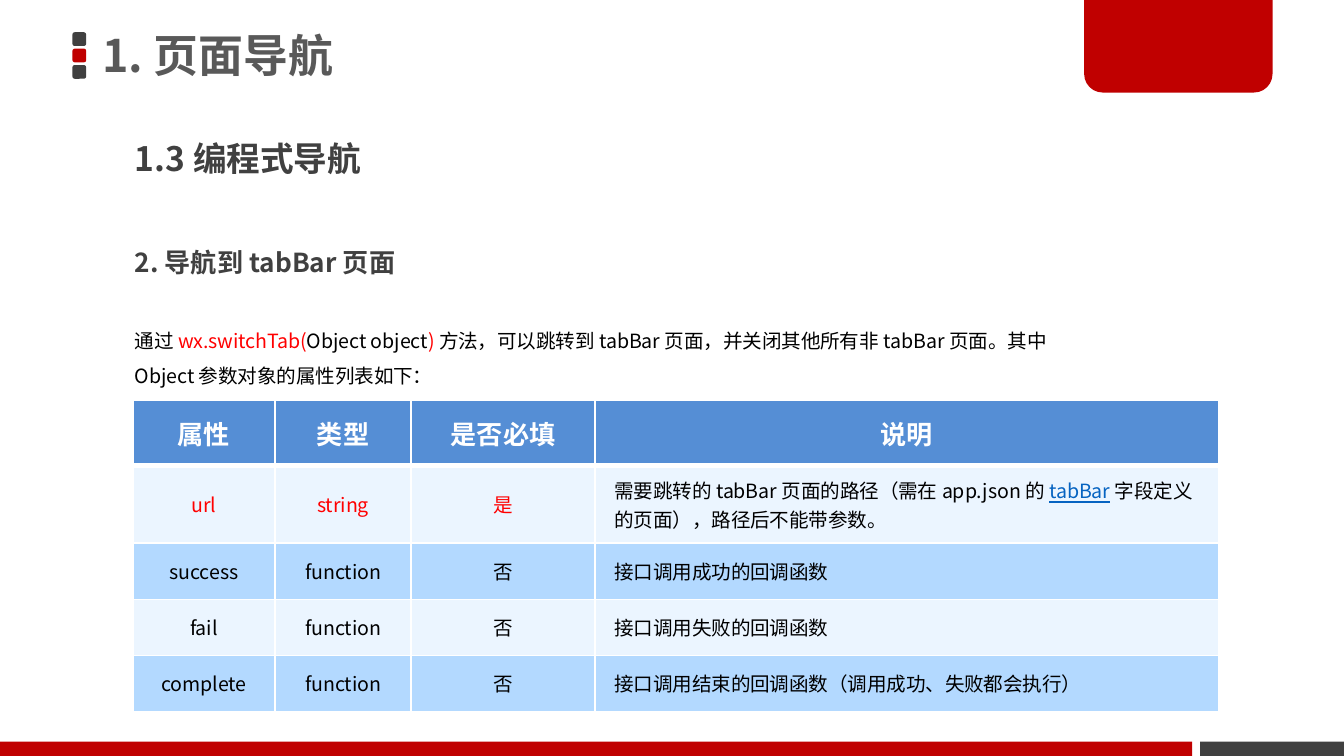
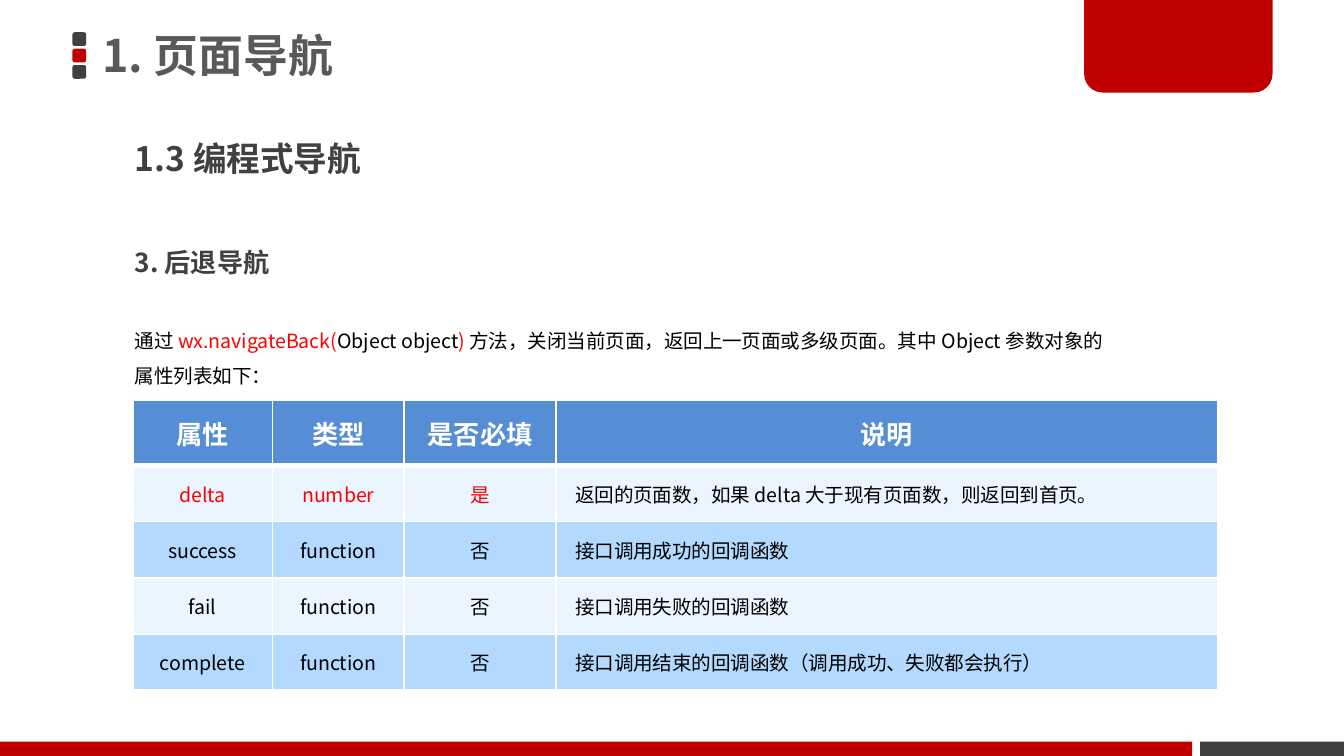
from dataclasses import dataclass
from typing import NamedTuple

from lxml import etree
from pptx import Presentation
from pptx import util as u
from pptx.dml.color import RGBColor
from pptx.enum import shapes, text
from pptx.oxml import ns

FONT = "Noto Sans CJK SC"
WHITE = RGBColor(0xFF, 0xFF, 0xFF)
BLACK = RGBColor(0x00, 0x00, 0x00)
RED = RGBColor(0xFF, 0x00, 0x00)
BRAND_RED = RGBColor(0xC0, 0x00, 0x00)
CHARCOAL = RGBColor(0x40, 0x40, 0x40)
TITLE_GRAY = RGBColor(0x59, 0x59, 0x59)
LINK_BLUE = RGBColor(0x05, 0x63, 0xC1)
HEADER_BLUE = RGBColor(0x55, 0x8E, 0xD5)
ROW_FILLS = (RGBColor(0xEB, 0xF5, 0xFF), RGBColor(0xB3, 0xD9, 0xFF))

HEADER_HEIGHT, ROW_HEIGHT = 1.23, 1.06
HEADINGS = ("属性", "类型", "是否必填", "说明")
CALLBACK_ROWS = (
    ("success", "function", "否", "接口调用成功的回调函数"),
    ("fail", "function", "否", "接口调用失败的回调函数"),
    ("complete", "function", "否", "接口调用结束的回调函数（调用成功、失败都会执行）"),
)


class Box(NamedTuple):
    left: float
    top: float
    width: float
    height: float

    def lengths(self) -> list:
        return [u.Cm(value) for value in self]


class Run(NamedTuple):
    words: str
    color: RGBColor = BLACK
    underline: bool = False


class Band(NamedTuple):
    box: Box
    color: RGBColor
    kind: shapes.MSO_SHAPE = shapes.MSO_SHAPE.RECTANGLE
    adjustments: tuple = ()


@dataclass(frozen=True)
class Lesson:
    topic: str
    method: str
    effect: str
    columns: tuple
    parameter: tuple
    explanation: tuple


BANDS = [
    Band(Box(1.37, 0.61 + 0.31 * index, 0.26, 0.26), color,
         shapes.MSO_SHAPE.ROUNDED_RECTANGLE, (0.17,))
    for index, color in enumerate((CHARCOAL, BRAND_RED, CHARCOAL))
] + [
    Band(Box(22.68, 14.02, 2.72, 0.27), CHARCOAL),
    Band(Box(20.49, 0, 3.56, 1.75), BRAND_RED,
         shapes.MSO_SHAPE.ROUND_2_SAME_RECTANGLE, (0, 0.2)),
    Band(Box(0, 14.02, 22.53, 0.27), BRAND_RED),
]

LESSONS = (
    Lesson(
        "2. 导航到 tabBar 页面",
        "wx.switchTab(",
        "方法，可以跳转到 tabBar 页面，并关闭其他所有非 tabBar 页面。其中 Object 参数对象的属性列表如下：",
        (2.69, 2.57, 3.48, 11.78),
        ("url", "string", "是"),
        (
            Run("需要跳转的 tabBar 页面的路径（需在 app.json 的 "),
            Run("tabBar", LINK_BLUE, True),
            Run(" 字段定义的页面），路径后不能带参数。"),
        ),
    ),
    Lesson(
        "3. 后退导航",
        "wx.navigateBack(",
        "方法，关闭当前页面，返回上一页面或多级页面。其中 Object 参数对象的属性列表如下：",
        (2.64, 2.49, 2.87, 12.5),
        ("delta", "number", "是"),
        (Run("返回的页面数，如果 delta 大于现有页面数，则返回到首页。"),),
    ),
)


def write(frame, runs, *, size: float = 10.5, bold: bool = False,
          align=text.PP_ALIGN.LEFT, spacing=None) -> None:
    paragraph = frame.paragraphs[0]
    paragraph.alignment = align
    paragraph.line_spacing = spacing
    for words, color, underline in runs:
        run = paragraph.add_run()
        run.text = words
        font = run.font
        font.size, font.bold, font.underline = u.Pt(size), bold, underline
        font.color.rgb = color
        font.name = FONT
        properties = run._r.get_or_add_rPr()
        etree.SubElement(properties, ns.qn("a:ea"), typeface=FONT)


def add_text(slide, box: Box, runs, *, anchor=text.MSO_ANCHOR.TOP,
             fit=text.MSO_AUTO_SIZE.NONE, **style) -> None:
    frame = slide.shapes.add_textbox(*box.lengths()).text_frame
    frame.word_wrap = True
    frame.auto_size = fit
    frame.vertical_anchor = anchor
    frame.margin_left = frame.margin_right = u.Cm(0.19)
    frame.margin_top = frame.margin_bottom = u.Cm(0.1)
    write(frame, runs, **style)


def add_band(slide, band: Band) -> None:
    shape = slide.shapes.add_shape(band.kind, *band.box.lengths())
    shape.shadow.inherit = False
    shape.fill.solid()
    shape.fill.fore_color.rgb = band.color
    shape.line.fill.background()
    for index, value in enumerate(band.adjustments):
        shape.adjustments[index] = value


def add_borders(cell, **widths: float) -> None:
    properties = cell._tc.get_or_add_tcPr()
    for side in "LRTB":
        line = etree.SubElement(properties, ns.qn(f"a:ln{side}"),
                                w=str(u.Pt(widths.get(side, 1))))
        fill = etree.SubElement(line, ns.qn("a:solidFill"))
        etree.SubElement(fill, ns.qn("a:srgbClr"), val=str(WHITE))


def style_cell(cell, fill: RGBColor, side: float, end: float, anchor, **borders: float) -> None:
    add_borders(cell, **borders)
    cell.fill.solid()
    cell.fill.fore_color.rgb = fill
    cell.margin_left = cell.margin_right = u.Cm(side)
    cell.margin_top = cell.margin_bottom = u.Cm(end)
    cell.vertical_anchor = anchor


def add_properties(slide, lesson: Lesson) -> None:
    body = [[(Run(words, RED),) for words in lesson.parameter] + [lesson.explanation]]
    body += [[(Run(words),) for words in row] for row in CALLBACK_ROWS]
    height = HEADER_HEIGHT + ROW_HEIGHT * len(body)
    box = Box(2.51, 7.57, sum(lesson.columns), height)
    table = slide.shapes.add_table(len(body) + 1, len(HEADINGS), *box.lengths()).table
    for column, width in zip(table.columns, lesson.columns):
        column.width = u.Cm(width)
    for index, row in enumerate(table.rows):
        row.height = u.Cm(ROW_HEIGHT if index else HEADER_HEIGHT)

    for column, heading in enumerate(HEADINGS):
        cell = table.cell(0, column)
        style_cell(cell, HEADER_BLUE, 0.25, 0.13, text.MSO_ANCHOR.TOP, B=3)
        write(cell.text_frame, [Run(heading, WHITE)], size=14, bold=True,
              align=text.PP_ALIGN.CENTER, spacing=u.Pt(24))

    for index, row in enumerate(body):
        for column, runs in enumerate(row):
            cell = table.cell(index + 1, column)
            style_cell(cell, ROW_FILLS[index % 2], 0.36, 0.2,
                       text.MSO_ANCHOR.MIDDLE, T=1 if index else 3)
            is_explanation = column == len(HEADINGS) - 1
            write(cell.text_frame, runs,
                  align=text.PP_ALIGN.LEFT if is_explanation else text.PP_ALIGN.CENTER)


def add_lesson(deck, lesson: Lesson) -> None:
    slide = deck.slides.add_slide(deck.slide_layouts[6])
    for band in BANDS:
        add_band(slide, band)
    add_text(slide, Box(1.75, 0, 18.72, 2.21), [Run("1. 页面导航", TITLE_GRAY)],
             size=24, bold=True, spacing=0.9, anchor=text.MSO_ANCHOR.MIDDLE)
    add_text(slide, Box(2.36, 2.59, 18.11, 1.5), [Run("1.3 编程式导航", CHARCOAL)],
             size=18, bold=True, spacing=0.9)
    add_text(slide, Box(2.36, 4.62, 18.03, 0.79), [Run(lesson.topic, CHARCOAL)],
             size=14, bold=True, spacing=0.9)
    introduction = [Run("通过 "), Run(lesson.method, RED), Run("Object object"),
                    Run(") ", RED), Run(lesson.effect)]
    add_text(slide, Box(2.36, 5.89, 18.7, 1.65), introduction, spacing=1.5,
             fit=text.MSO_AUTO_SIZE.TEXT_TO_FIT_SHAPE)
    add_properties(slide, lesson)


def main() -> None:
    deck = Presentation()
    deck.slide_width, deck.slide_height = u.Cm(25.4), u.Cm(14.29)
    for lesson in LESSONS:
        add_lesson(deck, lesson)
    deck.save("out.pptx")


if __name__ == "__main__":
    main()
